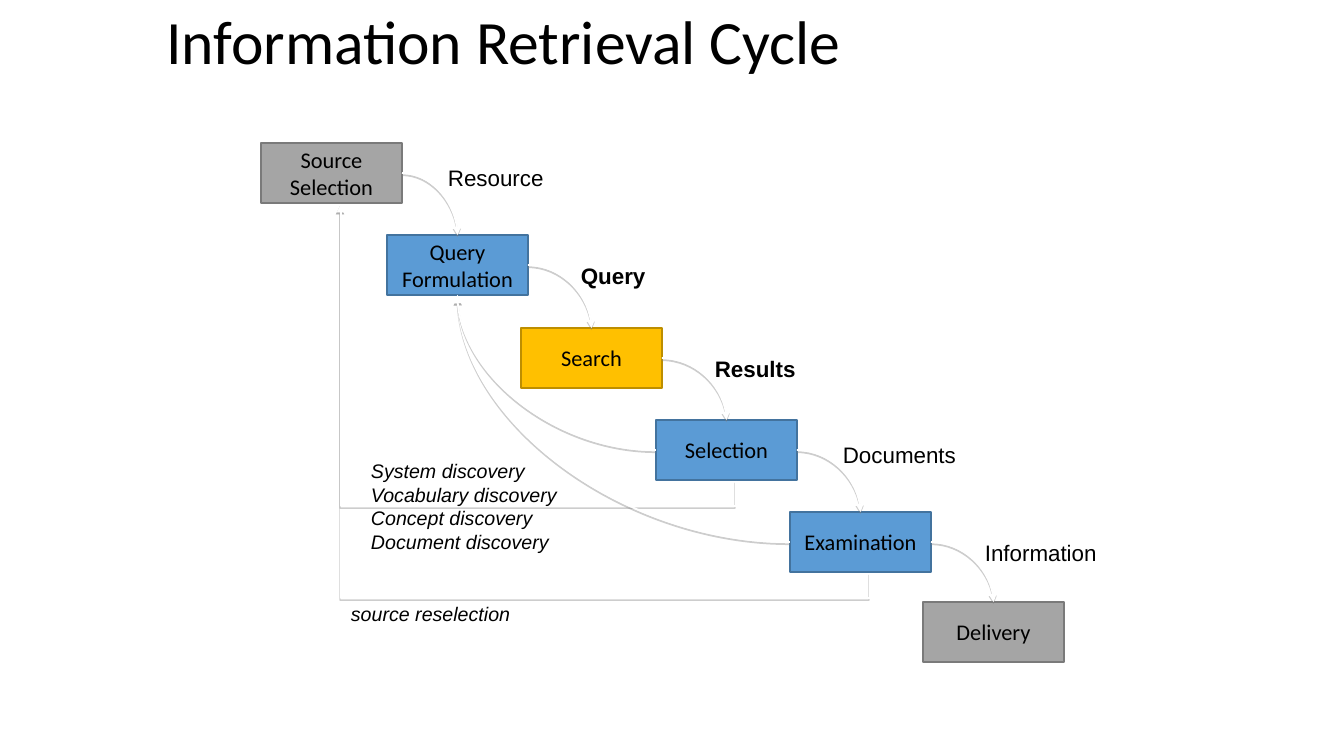
from lxml import etree
from pptx import Presentation
from pptx.dml.color import RGBColor
from pptx.enum.shapes import MSO_CONNECTOR, MSO_SHAPE
from pptx.enum.text import MSO_ANCHOR, MSO_AUTO_SIZE, PP_ALIGN
from pptx.oxml import parse_xml
from pptx.oxml.ns import nsdecls, qn
from pptx.util import Emu, Pt

RECT = MSO_SHAPE.RECTANGLE
CURVE = MSO_CONNECTOR.CURVE
ELBOW = MSO_CONNECTOR.ELBOW
MIDDLE = MSO_ANCHOR.MIDDLE
GROW = MSO_AUTO_SIZE.SHAPE_TO_FIT_TEXT
NO_FIT = MSO_AUTO_SIZE.NONE
LEFT, CENTER = PP_ALIGN.LEFT, PP_ALIGN.CENTER
TOP_SIDE, LEFT_SIDE, BOTTOM_SIDE, RIGHT_SIDE = range(4)

TITLE = "Information Retrieval Cycle"
GRAY = ("A5A5A5", "7A7A7A")
BLUE = ("5B9BD5", "43739E")
GOLD = ("FFC000", "BD8E00")
STEPS = [
    (["Source", "Selection"], 261, 143, GRAY),
    (["Query", "Formulation"], 387, 235, BLUE),
    (["Search"], 521, 328, GOLD),
    (["Selection"], 656, 420, BLUE),
    (["Examination"], 790, 512, BLUE),
    (["Delivery"], 923, 602, GRAY),
]
LABELS = [
    ("Resource", 438, 159, 116, False),
    ("Query", 571, 257, 86, True),
    ("Results", 705, 350, 102, True),
    ("Documents", 833, 436, 133, False),
    ("Information", 975, 534, 134, False),
]
NOTES = [
    (["source reselection"], 341, 597, 232, 33),
    (["System discovery", "Vocabulary discovery", "Concept discovery",
      "Document discovery"], 361, 454, 208, 105),
]
QUERY = 1
RETURNS = [4, 3]
LOOPS = [(870, 573, -6800), (736, 481, -9100)]
LOOP_END = (341, 204)
BOX_W, BOX_H = 141, 60
LABEL_H = 37
DOWN, ASLANT = 90, 115
SCALE = 914400 / 100.8


def px(num):
    return Emu(round(num * SCALE))


def color(code):
    return RGBColor.from_string(code)


def write(frame, lines, size, font, align=LEFT, bold=False, italic=False):
    for i, line in enumerate(lines):
        para = frame.paragraphs[0] if i == 0 else frame.add_paragraph()
        para.alignment = align
        run = para.add_run()
        run.text = line
        run.font.size = Pt(size)
        run.font.name = font
        run.font.bold = bold
        run.font.italic = italic
        run.font.color.rgb = color("000000")


def add_box(lines, left, top, paint):
    box = shapes.add_shape(RECT, px(left), px(top), px(BOX_W), px(BOX_H))
    box.shadow.inherit = False
    box.fill.solid()
    box.fill.fore_color.rgb = color(paint[0])
    box.line.color.rgb = color(paint[1])
    box.line.width = Pt(1)
    box.text_frame.word_wrap = False
    box.text_frame.vertical_anchor = MIDDLE
    write(box.text_frame, lines, 16, "Calibri", CENTER)
    return box


def add_text(lines, left, top, width, height, size, bold=False, italic=False):
    area = shapes.add_textbox(px(left), px(top), px(width), px(height))
    area.text_frame.word_wrap = True
    area.text_frame.auto_size = GROW
    write(area.text_frame, lines, size, "Arial", LEFT, bold, italic)


def style(link, width, angle):
    link.line.color.rgb = color("FFFFFF")
    link.line.width = Pt(width)
    props = link._element.spPr
    etree.SubElement(props.find(qn("a:ln")), qn("a:tailEnd"), type="triangle")
    props.append(parse_xml(
        f'<a:effectLst {nsdecls("a")}>'
        f'<a:outerShdw blurRad="0" dist="20000" dir="{angle * 60000}" '
        'rotWithShape="0">'
        '<a:srgbClr val="808080"><a:alpha val="38000"/></a:srgbClr>'
        '</a:outerShdw></a:effectLst>'))


def add_curve(start, side, end, end_side):
    link = shapes.add_connector(CURVE, 0, 0, 0, 0)
    link.begin_connect(start, side)
    link.end_connect(end, end_side)
    link._element.spPr.find(qn("a:prstGeom")).set("prst", "curvedConnector2")
    style(link, 1.25, DOWN)


def add_loop(x, y, bend):
    end_x, end_y = LOOP_END
    wide, high = x - end_x, y - end_y
    left = (x + end_x - high) / 2
    top = (y + end_y - wide) / 2
    link = shapes.add_connector(
        ELBOW, px(left), px(top), px(left + high), px(top + wide))
    props = link._element.spPr
    frame = props.find(qn("a:xfrm"))
    frame.set("rot", "5400000")
    frame.set("flipH", "1")
    guides = props.find(qn("a:prstGeom")).find(qn("a:avLst"))
    etree.SubElement(guides, qn("a:gd"), name="adj1", fmla=f"val {bend}")
    style(link, 1, ASLANT)


deck = Presentation()
deck.slide_width, deck.slide_height = px(1344), px(756)
slide = deck.slides.add_slide(deck.slide_layouts[5])
shapes = slide.shapes

title = shapes.title
title.left, title.top, title.width, title.height = map(px, (156, -28, 1159, 146))
title.text_frame.vertical_anchor = MIDDLE
title.text_frame.word_wrap = True
title.text_frame.auto_size = NO_FIT
write(title.text_frame, [TITLE], 44, "Calibri")
title.text_frame.paragraphs[0].line_spacing = 0.9

boxes = [add_box(*step) for step in STEPS]
for start, end in zip(boxes, boxes[1:]):
    add_curve(start, RIGHT_SIDE, end, TOP_SIDE)
for loop in LOOPS:
    add_loop(*loop)
for text, left, top, width, bold in LABELS:
    add_text([text], left, top, width, LABEL_H, 16, bold=bold)
for note in NOTES:
    add_text(*note, 14, italic=True)
for index in RETURNS:
    add_curve(boxes[index], LEFT_SIDE, boxes[QUERY], BOTTOM_SIDE)

deck.save("out.pptx")
